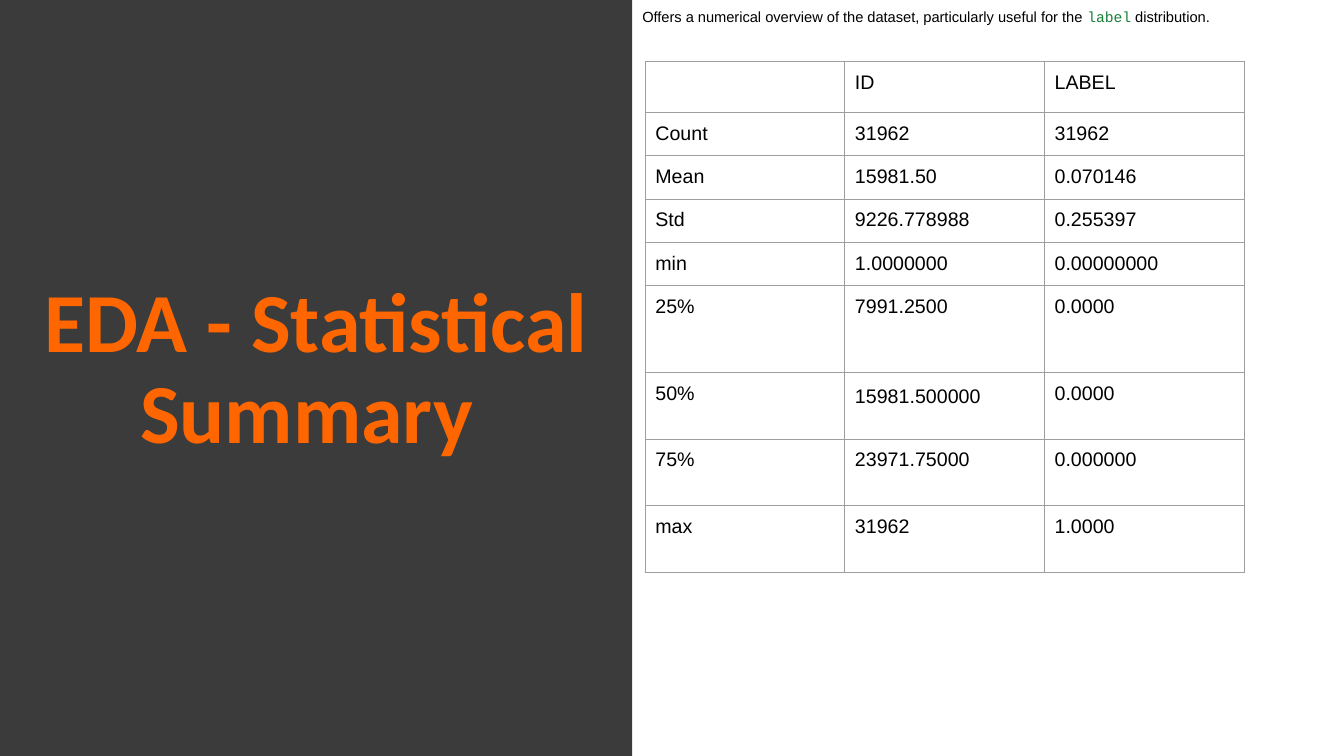
import pptx
import pptx.dml.color
import pptx.enum.text
import pptx.oxml
import pptx.oxml.ns
import pptx.util
from pptx.util import Inches

ROWS = [
    ("", "ID", "LABEL"),
    ("Count", "31962", "31962"),
    ("Mean", "15981.50", "0.070146"),
    ("Std", "9226.778988", "0.255397"),
    ("min", "1.0000000", "0.00000000"),
    ("25%", "7991.2500", "0.0000"),
    ("50%", "15981.500000", "0.0000"),
    ("75%", "23971.75000", "0.000000"),
    ("max", "31962", "1.0000"),
]
ROW_HEIGHTS = [0.48] + [0.43] * 4 + [0.86] + [0.66] * 3
COLUMN_WIDTH = 1.98
BORDER = "9E9E9E"
BLACK = "000000"


def rgb(value):
    return pptx.dml.color.RGBColor.from_string(value)


def set_attributes(target, values):
    for name, value in values.items():
        setattr(target, name, value)


def add_run(p, text, font, size, color, bold=False):
    r = p.add_run()
    r.text = text
    set_attributes(r.font, {"name": font, "size": pptx.util.Pt(size), "bold": bold})
    r.font.color.rgb = rgb(color)


def place(sp, left, width, anchor, **paragraph_format):
    """Give a placeholder a full-height column and return its first paragraph."""
    set_attributes(sp, {"left": Inches(left), "top": Inches(0),
                        "width": Inches(width), "height": Inches(7.5)})
    tf = sp.text_frame
    set_attributes(tf, {"word_wrap": True, "vertical_anchor": anchor,
                        "auto_size": pptx.enum.text.MSO_AUTO_SIZE.NONE})
    p = tf.paragraphs[0]
    set_attributes(p, {"space_before": pptx.util.Pt(0), **paragraph_format})
    return p


def fill_title(sp):
    p = place(sp, 0, 6.27, pptx.enum.text.MSO_ANCHOR.MIDDLE,
              alignment=pptx.enum.text.PP_ALIGN.CENTER, line_spacing=0.9)
    sp.text_frame.margin_bottom = Inches(0.19)
    sp.fill.solid()
    sp.fill.fore_color.rgb = rgb("3B3B3B")
    add_run(p, "EDA - Statistical Summary ", "Calibri", 60, "FF6600", True)


def fill_subtitle(sp):
    p = place(sp, 6.27, 7.06, pptx.enum.text.MSO_ANCHOR.TOP,
              alignment=pptx.enum.text.PP_ALIGN.LEFT, line_spacing=1.15)
    add_run(p, "Offers a numerical overview of the dataset, particularly useful for the ",
            "Arial", 10.5, BLACK)
    add_run(p, "label", "Courier New", 10.5, "188038")
    add_run(p, " distribution.", "Arial", 10.5, BLACK)


def set_borders(cell):
    tc_pr = cell._tc.get_or_add_tcPr()
    for side in ("lnL", "lnR", "lnT", "lnB"):
        tc_pr.append(pptx.oxml.parse_xml(
            f'<a:{side} {pptx.oxml.ns.nsdecls("a")} w="{pptx.util.Pt(0.75)}">'
            f'<a:solidFill><a:srgbClr val="{BORDER}"/></a:solidFill></a:{side}>'))


def fill_cell(cell, text):
    margins = ("margin_left", "margin_right", "margin_top", "margin_bottom")
    set_attributes(cell, dict.fromkeys(margins, Inches(0.1)))
    set_borders(cell)
    cell.fill.background()
    if text:
        add_run(cell.text_frame.paragraphs[0], text, "Arial", 14, BLACK)


def add_summary_table(s):
    columns = len(ROWS[0])
    table = s.shapes.add_table(
        len(ROWS), columns, Inches(6.4), Inches(0.61),
        Inches(COLUMN_WIDTH * columns), Inches(sum(ROW_HEIGHTS))).table
    set_attributes(table, {"first_row": False, "horz_banding": False})
    for column in table.columns:
        column.width = Inches(COLUMN_WIDTH)
    for i, (values, height) in enumerate(zip(ROWS, ROW_HEIGHTS)):
        table.rows[i].height = Inches(height)
        for j, text in enumerate(values):
            fill_cell(table.cell(i, j), text)
    table.cell(6, 1).text_frame.paragraphs[0].line_spacing = 1.15


def main():
    prs = pptx.Presentation()
    set_attributes(prs, {"slide_width": Inches(13.33), "slide_height": Inches(7.5)})
    s = prs.slides.add_slide(prs.slide_layouts[0])
    fill_title(s.shapes.title)
    fill_subtitle(s.placeholders[1])
    add_summary_table(s)
    prs.save("out.pptx")


if __name__ == "__main__":
    main()
